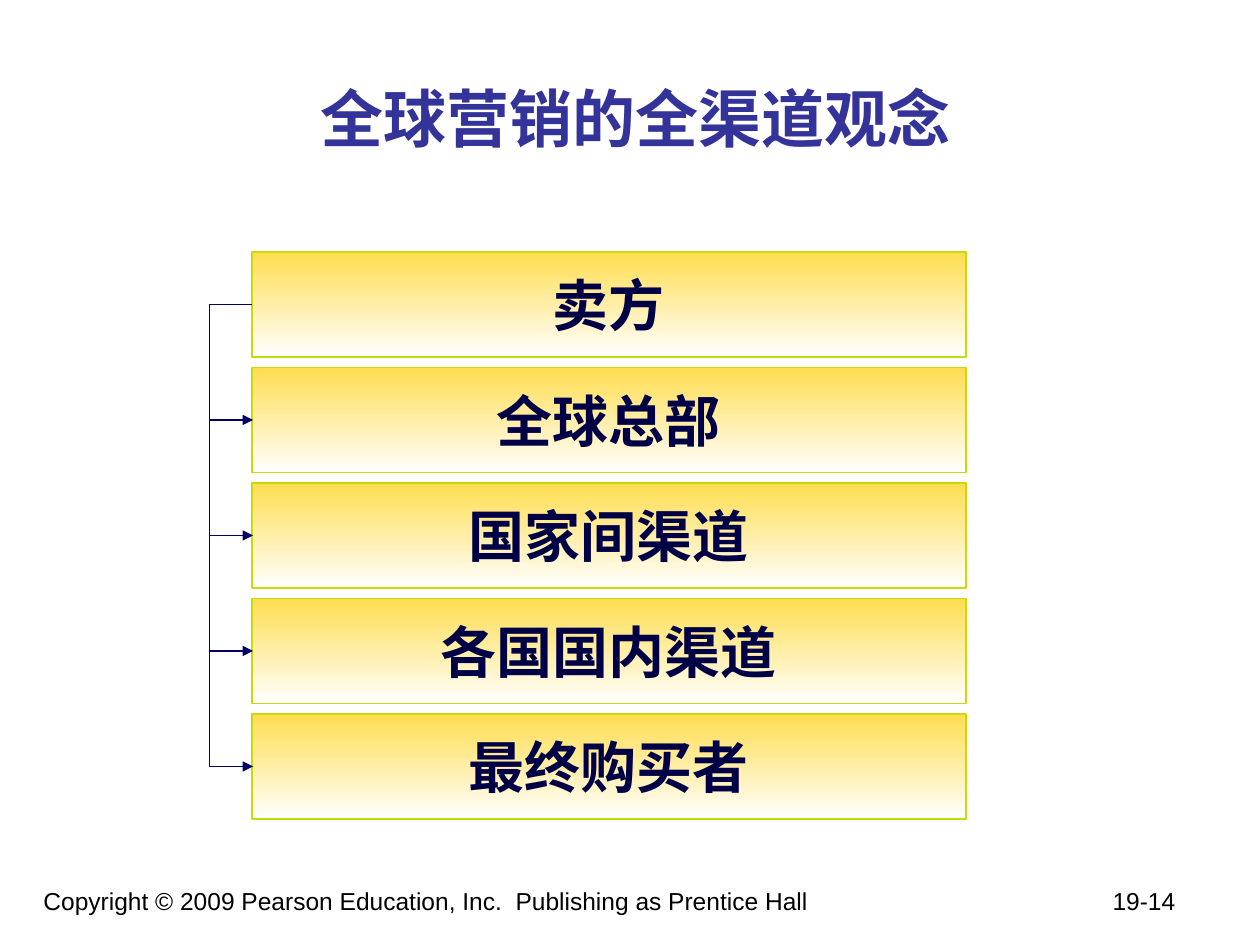
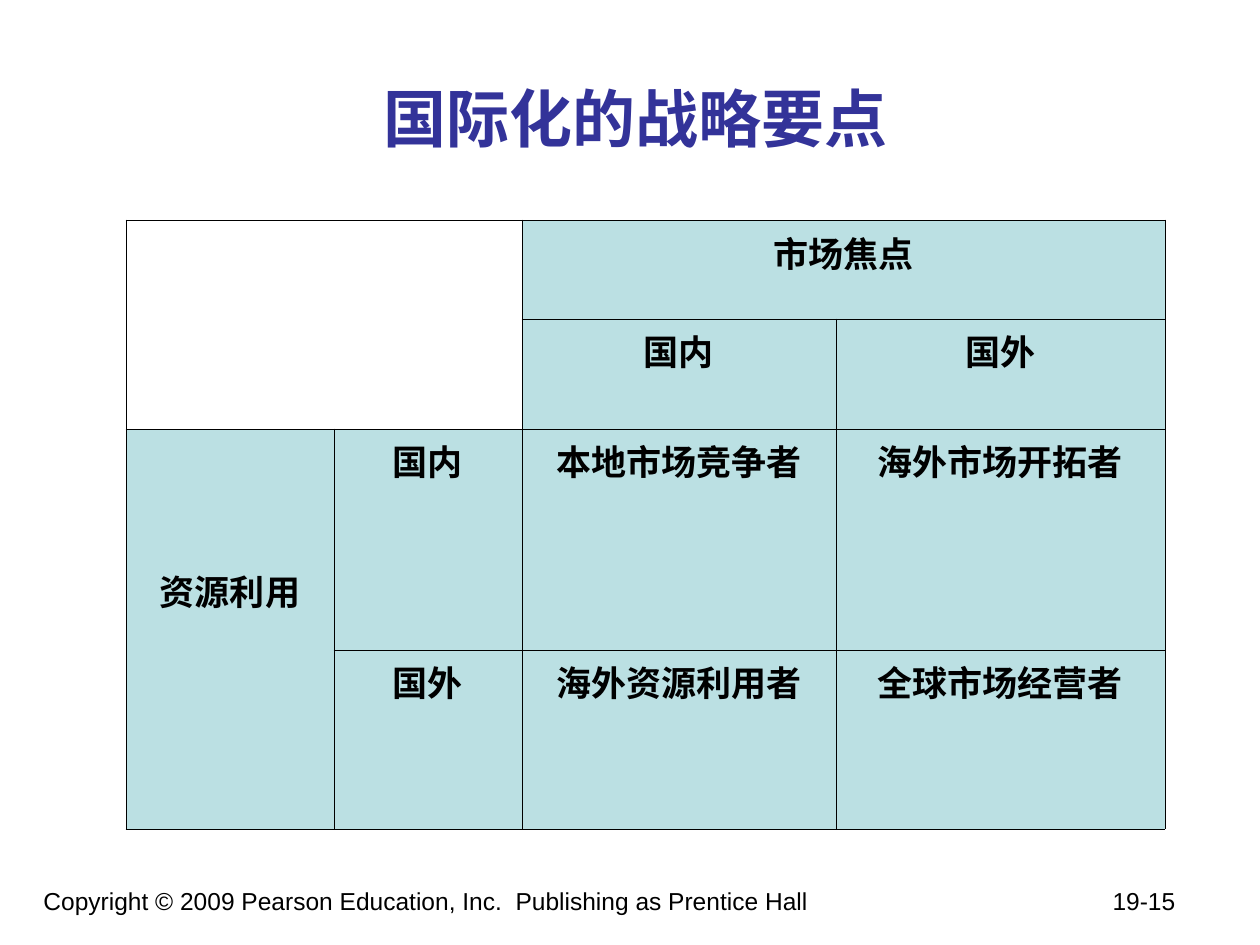
from lxml.etree import SubElement
from pptx import Presentation
from pptx.dml.color import RGBColor
from pptx.enum.shapes import MSO_CONNECTOR as Link, MSO_SHAPE as Shape
from pptx.enum.text import MSO_ANCHOR as Anchor, PP_ALIGN as Align
from pptx.oxml.ns import qn
from pptx.oxml.xmlchemy import OxmlElement as Node
from pptx.util import Pt

SCALE = 914400 / 126
CJK = "Noto Sans CJK SC"
INK, NAVY, TEAL = "000000", "000066", "BBE0E3"
TITLE = dict(size=36, bold=True, name=CJK, color="333399")
FOOT = dict(size=14, name="Arial", color=INK)
STEP = dict(size=32, bold=True, name="Arial", color="000046")
CELL = dict(size=20, bold=True, name="Times New Roman", color=INK)
COPY = "Copyright © 2009 Pearson Education, Inc.  Publishing as Prentice Hall"


def px(n):
    return round(n * SCALE)


def area(*box):
    return [px(n) for n in box]


def rgb(code):
    return RGBColor.from_string(code)


def write(frame, text, style, align=Align.CENTER, tab=None):
    """Fill a text frame; tab is the px position of a right tab stop."""
    para = frame.paragraphs[0]
    para.alignment = align
    if tab:
        stops = SubElement(para._p.get_or_add_pPr(), qn("a:tabLst"))
        SubElement(stops, qn("a:tab"), pos=str(px(tab)), algn="r")
    run = para.add_run()
    run.text = text
    for key, val in style.items():
        if key == "color":
            run.font.color.rgb = rgb(val)
        else:
            setattr(run.font, key, Pt(val) if key == "size" else val)
    SubElement(run._r.get_or_add_rPr(), qn("a:ea"), typeface=CJK)


def label(slide, box, text, style, anchor=Anchor.TOP, **opts):
    frame = slide.shapes.add_textbox(*area(*box)).text_frame
    frame.word_wrap = True
    frame.vertical_anchor = anchor
    write(frame, text, style, **opts)


def start(deck, title, page):
    """Add a slide with the shared title and footer."""
    slide = deck.slides.add_slide(deck.slide_layouts[6])
    label(slide, (31, 880, 1176, 65), f"{COPY}\t{page}", FOOT,
          align=Align.LEFT, tab=1132)
    label(slide, (105, 38, 1061, 158), title, TITLE, Anchor.MIDDLE)
    return slide


def step(slide, box, text):
    rect = slide.shapes.add_shape(Shape.RECTANGLE, *area(*box))
    rect.shadow.inherit = False
    rect.fill.gradient()
    rect.fill.gradient_angle = 270
    for stop, pos, code in zip(rect.fill.gradient_stops, (0, 1),
                               ("FFDD4F", "FFFFFF")):
        stop.position = pos
        stop.color.rgb = rgb(code)
    rect.line.color.rgb = rgb("C7DB07")
    rect.line.width = Pt(0.75)
    rect.text_frame.word_wrap = False
    rect.text_frame.vertical_anchor = Anchor.MIDDLE
    write(rect.text_frame, text, STEP)
    return rect


def join(slide, above, below, reach):
    """Link two left sides by an elbow that stands reach px out."""
    link = slide.shapes.add_connector(Link.ELBOW, 0, 0, 0, 0)
    link.begin_connect(above, 1)
    link.end_connect(below, 1)
    link.width = px(1)
    link.line.color.rgb = rgb(NAVY)
    link.line.width = Pt(0.75)
    props = link._element.spPr
    frame = props.find(qn("a:xfrm"))
    for key, val in dict(rot="10800000", flipH="1", flipV="1").items():
        frame.set(key, val)
    geom = props.find(qn("a:prstGeom"))
    guides = geom.find(qn("a:avLst"))
    if guides is None:
        guides = SubElement(geom, qn("a:avLst"))
    SubElement(guides, qn("a:gd"), name="adj1", fmla=f"val {-reach * 100000}")
    SubElement(props.find(qn("a:ln")), qn("a:tailEnd"), type="triangle")
    SubElement(props, qn("a:effectLst"))


def chain(slide, box, names):
    """Stack the steps in the box, a tenth of a step apart."""
    left, top, wide, high = box
    pitch = high / (len(names) - 1 / 11)
    tall = round(pitch * 10 / 11)
    rects = [step(slide, (left, top + i * pitch, wide, tall), name)
             for i, name in enumerate(names)]
    for above, below in zip(rects, rects[1:]):
        join(slide, above, below, 43)


def edge(cell):
    props = cell._tc.get_or_add_tcPr()
    for i, side in enumerate("LRTB"):
        line = Node(f"a:ln{side}")
        line.set("w", str(Pt(0.45)))
        fill = SubElement(line, qn("a:solidFill"))
        SubElement(fill, qn("a:srgbClr"), val=INK)
        props.insert(i, line)


def matrix(slide, left, top, cols, rows, texts, spans):
    """Draw the grid; texts and spans are keyed by (row, column)."""
    grid = slide.shapes.add_table(
        len(rows), len(cols), *area(left, top, sum(cols), sum(rows))).table
    grid.first_row = grid.horz_banding = False
    for col, wide in zip(grid.columns, cols):
        col.width = px(wide)
    for row, high in zip(grid.rows, rows):
        row.height = px(high)
    for first, last in spans:
        grid.cell(*first).merge(grid.cell(*last))
    for r in range(len(rows)):
        for c in range(len(cols)):
            cell = grid.cell(r, c)
            if r < 2 and c < 2:
                cell.fill.background()
            else:
                cell.fill.solid()
                cell.fill.fore_color.rgb = rgb(TEAL)
            edge(cell)
            if (r, c) in texts:
                write(cell.text_frame, texts[r, c], CELL)
    return grid


def main():
    deck = Presentation()
    deck.slide_width, deck.slide_height = area(1260, 945)

    slide = start(deck, "全球营销的全渠道观念", "19-14")
    chain(slide, (252, 252, 714, 567),
          ["卖方", "全球总部", "国家间渠道", "各国国内渠道", "最终购买者"])

    slide = start(deck, "国际化的战略要点", "19-15")
    texts = {
        (0, 2): "市场焦点", (1, 2): "国内", (1, 3): "国外",
        (2, 0): "资源利用",
        (2, 1): "国内", (2, 2): "本地市场竞争者", (2, 3): "海外市场开拓者",
        (3, 1): "国外", (3, 2): "海外资源利用者", (3, 3): "全球市场经营者",
    }
    spans = [((0, 0), (1, 1)), ((0, 2), (0, 3)), ((2, 0), (3, 0))]
    grid = matrix(slide, 126, 220, (208, 188, 314, 329),
                  (99, 110, 221, 179), texts, spans)
    grid.cell(2, 0).margin_top = px(136)

    deck.save("out.pptx")


if __name__ == "__main__":
    main()
